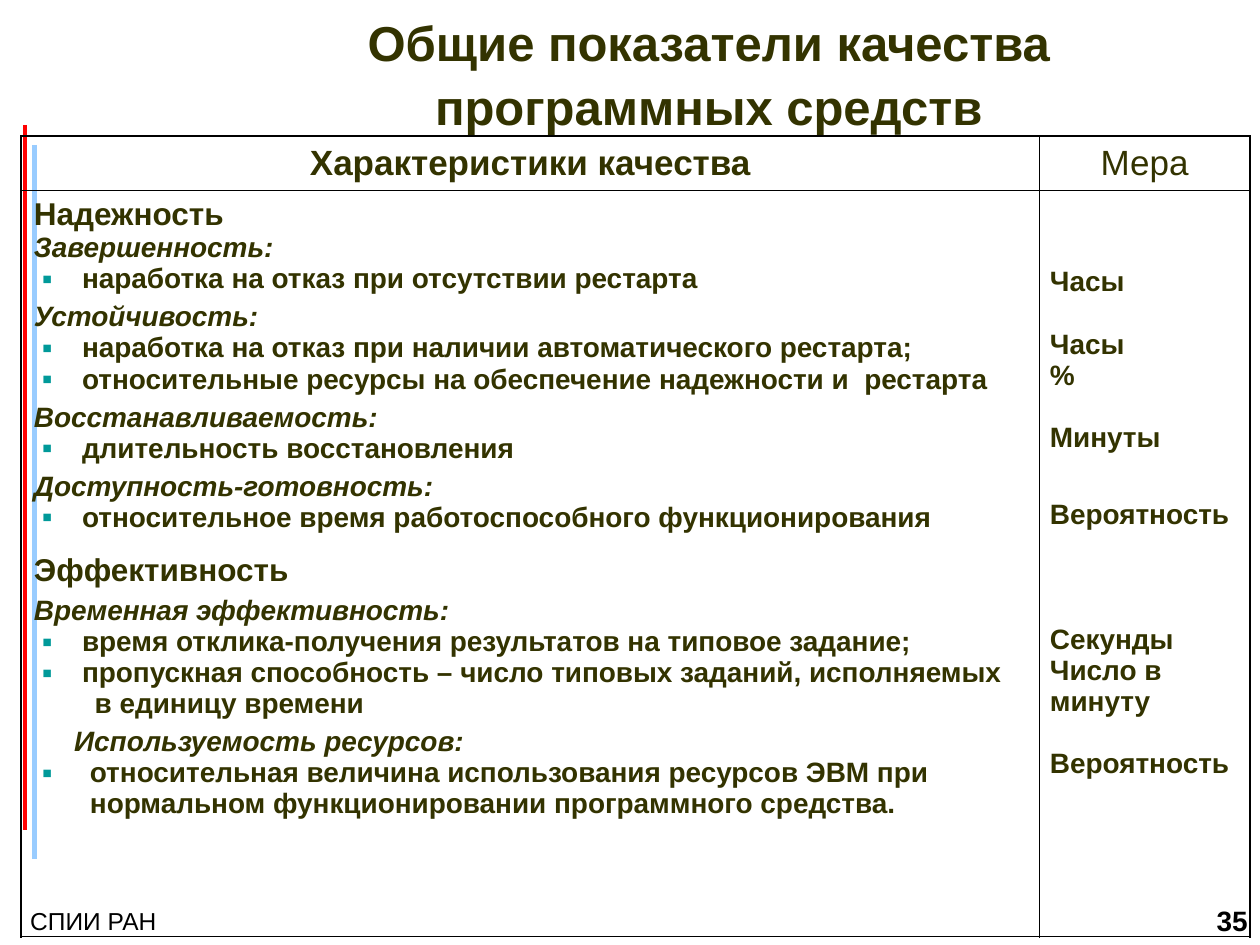
from lxml.etree import SubElement
from pptx import Presentation
from pptx.dml.color import RGBColor
from pptx.enum.shapes import MSO_CONNECTOR
from pptx.enum.text import MSO_ANCHOR, PP_ALIGN
from pptx.oxml import parse_xml
from pptx.oxml.ns import nsdecls, qn
from pptx.util import Pt

OLIVE = RGBColor(0x33, 0x33, 0x00)
BLACK = RGBColor(0x00, 0x00, 0x00)
RED = RGBColor(0xFF, 0x00, 0x00)
LIGHT_BLUE = RGBColor(0x99, 0xCC, 0xFF)
TEAL = RGBColor(0x00, 0x99, 0x99)
FONT = "Arial"

TITLE = "Общие показатели качества программных средств"
FOOTER = "СПИИ РАН"
SLIDE_NUMBER = "35"
HEADERS = [("Характеристики качества", True), ("Мера", False)]

# Paragraph kind, text, space before
CHARACTERISTICS = [
    ("section", "Надежность", 0),
    ("group", "Завершенность:", 0),
    ("bullet", "наработка на отказ при отсутствии рестарта", 0),
    ("group", "Устойчивость:", 4),
    ("bullet", "наработка на отказ при наличии автоматического рестарта;", 0),
    ("bullet", "относительные ресурсы на обеспечение надежности и  рестарта", 0),
    ("group", "Восстанавливаемость:", 4),
    ("bullet", "длительность восстановления", 0),
    ("group", "Доступность-готовность:", 4),
    ("bullet", "относительное время работоспособного функционирования", 0),
    ("section", "Эффективность", 11.2),
    ("group", "Временная эффективность:", 4),
    ("bullet", "время отклика-получения результатов на типовое задание;", 0),
    ("bullet", "пропускная способность – число типовых заданий, исполняемых", 0),
    ("continued", "в единицу времени", 0),
    ("inner group", "Используемость ресурсов:", 4),
    ("inner bullet", "относительная величина использования ресурсов ЭВМ при", 0),
    ("inner continued", "нормальном функционировании программного средства.", 0),
]
# Text, lines skipped above it, extra space before
MEASURES = [
    ("Часы", 0, 0), ("Часы", 1, 0), ("%", 0, 0), ("Минуты", 1, 0),
    ("Вероятность", 1, 8), ("Секунды", 3, 0), ("Число в минуту", 0, 0),
    ("Вероятность", 1, 0),
]
# Size, italic, left margin, bulleted
KINDS = {
    "section": (18, False, 0, False),
    "group": (16, True, 0, False),
    "bullet": (16, False, 27.5, True),
    "continued": (16, False, 34.7, False),
    "inner group": (16, True, 23, False),
    "inner bullet": (16, False, 32, True),
    "inner continued": (16, False, 32, False),
}
BULLET_LEFT = 5
LINE_HEIGHT = 17.9
OUTER_BORDER, INNER_BORDER = 1.08, 0.45
COLUMN_WIDTHS = [581.8, 120.2]
ROW_HEIGHTS = [31, 426.2]
# Colour, width, x, top, bottom
SIDE_LINES = [(RED, 2.25, 14.2, 71.3, 474.5), (LIGHT_BLUE, 3, 19.6, 82.8, 491)]


def write(paragraph, text, size, color=OLIVE, before=0, align=PP_ALIGN.LEFT, **font):
    paragraph.alignment = align
    if before:
        paragraph.space_before = Pt(before)
    run = paragraph.add_run()
    run.text = text
    run.font.color.rgb = color
    for name, value in {"name": FONT, "size": Pt(size), **font}.items():
        setattr(run.font, name, value)


def paragraphs_for(text_frame, items):
    """Yield one paragraph for each item, starting with the existing one."""
    for index, item in enumerate(items):
        yield (text_frame.add_paragraph() if index else text_frame.paragraphs[0]), item


def set_margins(target, left, top, right, bottom):
    margins = {"left": left, "top": top, "right": right, "bottom": bottom}
    for side, value in margins.items():
        setattr(target, f"margin_{side}", Pt(value))


def add_text(slide, box, margins, text, size, **formatting):
    text_frame = slide.shapes.add_textbox(*map(Pt, box)).text_frame
    text_frame.word_wrap = True
    set_margins(text_frame, *margins)
    write(text_frame.paragraphs[0], text, size, **formatting)
    return text_frame


def add_line(slide, color, width, x, top, bottom):
    line = slide.shapes.add_connector(
        MSO_CONNECTOR.STRAIGHT, Pt(x), Pt(top), Pt(x), Pt(bottom))
    line.line.color.rgb = color
    line.line.width = Pt(width)
    SubElement(line._element.spPr, qn("a:effectLst"))


def indent(paragraph, left, bulleted):
    properties = paragraph._p.get_or_add_pPr()
    properties.set("marL", str(Pt(left)))
    properties.set("indent", str(Pt(BULLET_LEFT - left) if bulleted else 0))
    if bulleted:
        color = SubElement(properties, qn("a:buClr"))
        SubElement(color, qn("a:srgbClr"), val=str(TEAL))
        SubElement(properties, qn("a:buSzPct"), val="55000")
        SubElement(properties, qn("a:buFont"), typeface=FONT)
        SubElement(properties, qn("a:buChar"), char="■")


def style_cell(cell, row, column):
    cell.fill.background()
    outer_sides = {"L": column == 0, "R": column == 1, "T": row == 0, "B": row == 1}
    for position, (side, outer) in enumerate(outer_sides.items()):
        width = Pt(OUTER_BORDER if outer else INNER_BORDER)
        border = parse_xml(
            f'<a:ln{side} {nsdecls("a")} w="{width}"><a:solidFill>'
            f'<a:srgbClr val="{BLACK}"/></a:solidFill></a:ln{side}>')
        cell._tc.get_or_add_tcPr().insert(position, border)


def add_quality_table(slide):
    table = slide.shapes.add_table(
        2, 2, Pt(12.2), Pt(77.8), Pt(sum(COLUMN_WIDTHS)), Pt(sum(ROW_HEIGHTS))).table
    table.first_row = table.horz_banding = False
    for column, width in zip(table.columns, COLUMN_WIDTHS):
        column.width = Pt(width)
    for row, height in zip(table.rows, ROW_HEIGHTS):
        row.height = Pt(height)
    for row in range(2):
        for column in range(2):
            style_cell(table.cell(row, column), row, column)

    for column, (text, bold) in enumerate(HEADERS):
        cell = table.cell(0, column)
        cell.vertical_anchor = MSO_ANCHOR.MIDDLE
        set_margins(cell, 7.2, 3.6, 7.2, 3.6)
        write(cell.text_frame.paragraphs[0], text, 20, align=PP_ALIGN.CENTER, bold=bold)

    cell = table.cell(1, 0)
    set_margins(cell, 7.2, 3.6, 7.2, 3.6)
    for paragraph, (kind, text, before) in paragraphs_for(cell.text_frame, CHARACTERISTICS):
        size, italic, left, bulleted = KINDS[kind]
        indent(paragraph, left, bulleted)
        write(paragraph, text, size, before=before, bold=True, italic=italic)

    cell = table.cell(1, 1)
    set_margins(cell, 6, 43.3, 3, 3.6)
    for paragraph, (text, skipped, extra) in paragraphs_for(cell.text_frame, MEASURES):
        write(paragraph, text, 16, before=skipped * LINE_HEIGHT + extra, bold=True)


def main():
    presentation = Presentation()
    presentation.slide_width, presentation.slide_height = Pt(720), Pt(540)
    slide = presentation.slides.add_slide(presentation.slide_layouts[6])
    add_text(slide, (14.4, 517.7, 213.8, 16.6), (2.9, 0, 0, 0), FOOTER, 14, color=BLACK)
    for side_line in SIDE_LINES:
        add_line(slide, *side_line)
    add_text(slide, (598.3, 516.2, 121.7, 23), (7.2, 0, 7.2, 3.6), SLIDE_NUMBER, 16,
             color=BLACK, align=PP_ALIGN.RIGHT, bold=True)
    title = add_text(slide, (126, 0, 558, 75), (7.2, 3.6, 7.2, 3.6), TITLE, 28,
                     align=PP_ALIGN.CENTER, bold=True)
    title.paragraphs[0].line_spacing = 1.1
    add_quality_table(slide)
    presentation.save("out.pptx")


if __name__ == "__main__":
    main()
